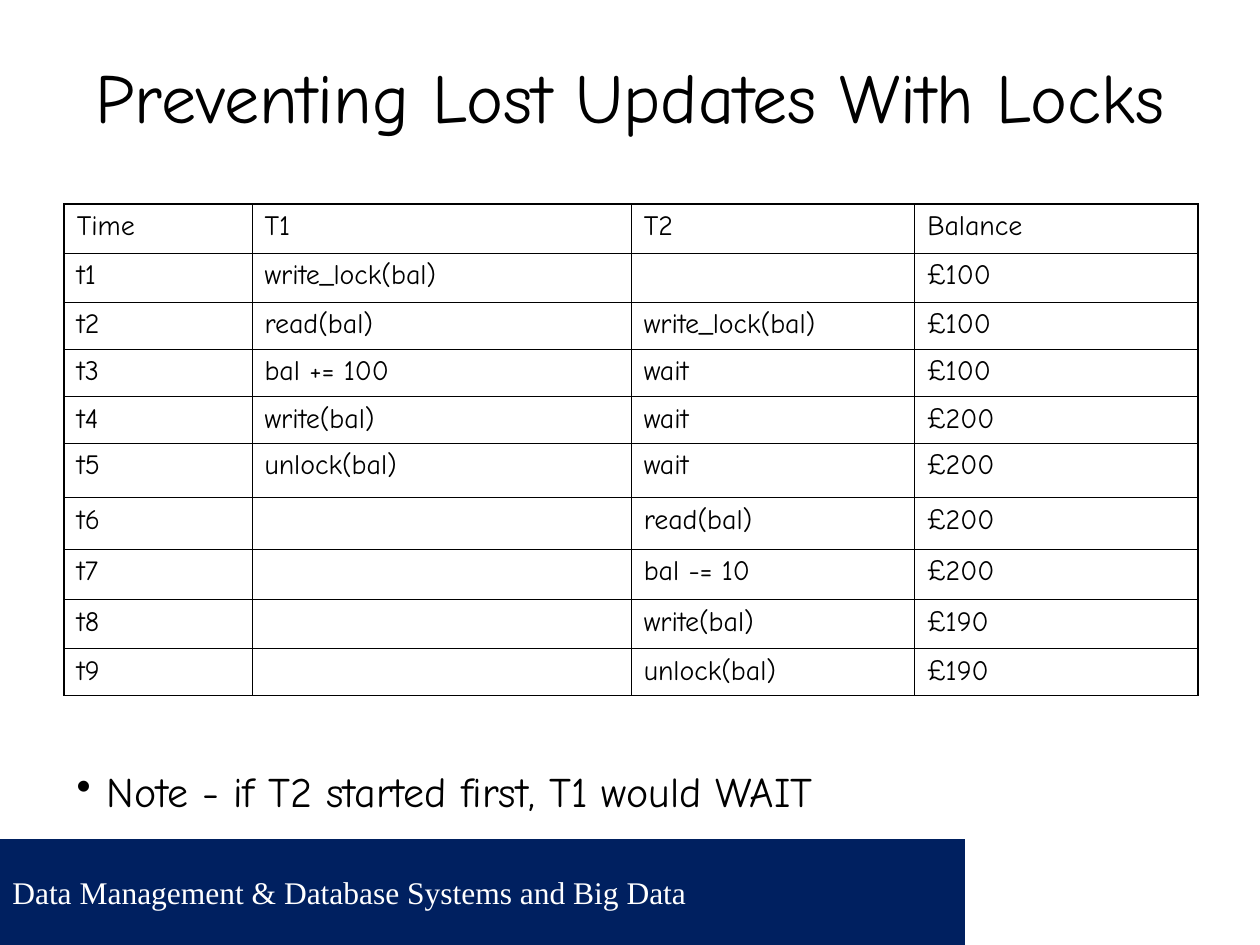
from lxml import etree
from pptx import Presentation
from pptx.dml.color import RGBColor
from pptx.enum.shapes import MSO_SHAPE
from pptx.enum.text import MSO_ANCHOR, PP_ALIGN
from pptx.oxml.ns import qn
from pptx.util import Inches, Pt

RECT = MSO_SHAPE.RECTANGLE
MIDDLE, TOP = MSO_ANCHOR.MIDDLE, MSO_ANCHOR.TOP
LEFT, CENTER = PP_ALIGN.LEFT, PP_ALIGN.CENTER

# Content
TITLE = "Preventing Lost Updates With Locks"
NOTE = "Note - if T2 started first, T1 would WAIT"
FOOTER = "Data Management & Database Systems and Big Data"
SCHEDULE = [
    ("Time", "T1", "T2", "Balance"),
    ("t1", "write_lock(bal)", "", "£100"),
    ("t2", "read(bal)", "write_lock(bal)", "£100"),
    ("t3", "bal += 100", "wait", "£100"),
    ("t4", "write(bal)", "wait", "£200"),
    ("t5", "unlock(bal)", "wait", "£200"),
    ("t6", "", "read(bal)", "£200"),
    ("t7", "", "bal -= 10", "£200"),
    ("t8", "", "write(bal)", "£190"),
    ("t9", "", "unlock(bal)", "£190"),
]

# Format
COLORS = {"ink": "000000", "paper": "FFFFFF", "band": "002060"}
BODY_FONT, FOOTER_FONT = "Comic Neue", "Times New Roman"
COLUMN_WIDTHS = [1.49, 3.01, 2.25, 2.25]
ROW_HEIGHTS = [0.39, 0.39, 0.37, 0.38, 0.37, 0.43, 0.41, 0.4, 0.39, 0.37]
OUTER_LINE, INNER_LINE = 1.08, 0.45
SLIDE_WIDTH, SLIDE_HEIGHT = 10, 7.5
BAND_TOP, BAND_HEIGHT = 6.66, 0.84
MARGIN = 0.51


def write(frame, text, size, font=BODY_FONT, color="ink", align=LEFT,
          anchor=TOP, bullet_indent=None):
    frame.word_wrap = True
    frame.vertical_anchor = anchor
    paragraph = frame.paragraphs[0]
    if bullet_indent:
        properties = paragraph._p.get_or_add_pPr()
        properties.set("marL", str(Inches(bullet_indent)))
        properties.set("indent", str(-Inches(bullet_indent)))
        etree.SubElement(properties, qn("a:buChar")).set("char", "•")
    paragraph.alignment = align
    run = paragraph.add_run()
    run.text = text
    run.font.size = Pt(size)
    run.font.name = font
    run.font.color.rgb = RGBColor.from_string(COLORS[color])


def add_band(slide, left, width, color):
    band = slide.shapes.add_shape(RECT, Inches(left), Inches(BAND_TOP),
                                  Inches(width), Inches(BAND_HEIGHT))
    band.shadow.inherit = False
    band.fill.solid()
    band.fill.fore_color.rgb = RGBColor.from_string(COLORS[color])
    band.line.fill.background()
    return band


def set_borders(cell, widths):
    properties = cell._tc.get_or_add_tcPr()
    for position, (side, width) in enumerate(widths.items()):
        line = etree.Element(qn(f"a:ln{side}"), w=str(Pt(width)))
        fill = etree.SubElement(line, qn("a:solidFill"))
        etree.SubElement(fill, qn("a:srgbClr")).set("val", COLORS["ink"])
        properties.insert(position, line)


def add_schedule(slide):
    rows, columns = len(SCHEDULE), len(COLUMN_WIDTHS)
    table = slide.shapes.add_table(
        rows, columns, Inches(MARGIN), Inches(1.62),
        Inches(sum(COLUMN_WIDTHS)), Inches(sum(ROW_HEIGHTS))).table
    table.first_row = table.horz_banding = False
    for column, width in zip(table.columns, COLUMN_WIDTHS):
        column.width = Inches(width)
    for row, height in zip(table.rows, ROW_HEIGHTS):
        row.height = Inches(height)
    for r, entries in enumerate(SCHEDULE):
        for c, entry in enumerate(entries):
            cell = table.cell(r, c)
            cell.fill.background()
            edges = {"L": c == 0, "R": c == columns - 1,
                     "T": r == 0, "B": r == rows - 1}
            set_borders(cell, {side: OUTER_LINE if outer else INNER_LINE
                               for side, outer in edges.items()})
            if entry:
                write(cell.text_frame, entry, 16)
            else:
                # Keeps an empty cell from stretching its row
                end = etree.SubElement(cell.text_frame.paragraphs[0]._p,
                                       qn("a:endParaRPr"))
                end.set("sz", "1600")


def main():
    deck = Presentation()
    deck.slide_width = Inches(SLIDE_WIDTH)
    deck.slide_height = Inches(SLIDE_HEIGHT)
    slide = deck.slides.add_slide(deck.slide_layouts[5])

    # Footer bands
    footer = add_band(slide, 0, SLIDE_WIDTH, "band")
    write(footer.text_frame, FOOTER, 18, font=FOOTER_FONT, color="paper",
          anchor=MIDDLE)
    add_band(slide, 7.66, SLIDE_WIDTH - 7.66, "paper")

    # Title
    title = slide.shapes.title
    title.left, title.top = Inches(0), Inches(0.28)
    title.width, title.height = Inches(SLIDE_WIDTH), Inches(0.95)
    write(title.text_frame, TITLE, 40, align=CENTER, anchor=MIDDLE)

    # Transaction schedule
    add_schedule(slide)

    # Note
    note = slide.shapes.add_textbox(Inches(MARGIN), Inches(6.03),
                                    Inches(8.11), Inches(0.5))
    write(note.text_frame, NOTE, 24, bullet_indent=0.24)

    deck.save("out.pptx")


if __name__ == "__main__":
    main()
